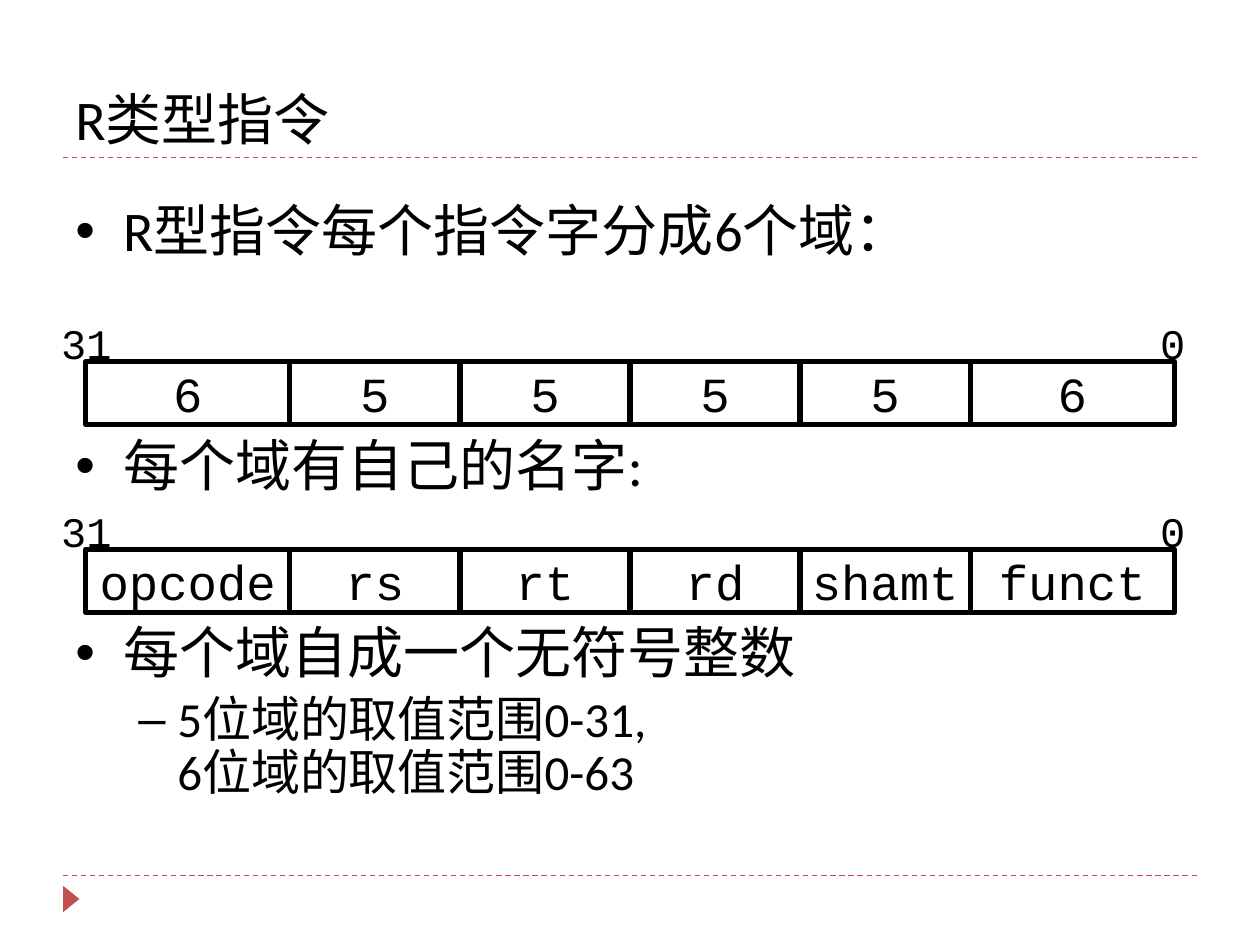
from pptx import Presentation
from pptx.dml.color import RGBColor
from pptx.enum.dml import MSO_LINE
from pptx.enum.shapes import MSO_CONNECTOR, MSO_SHAPE
from pptx.enum.text import MSO_ANCHOR, PP_ALIGN
from pptx.oxml.ns import qn
from pptx.util import Inches, Pt
from lxml.etree import SubElement

BLACK = "000000"
ACCENT = "C0504D"


def color(hex_text):
    return RGBColor.from_string(hex_text)


def style_paragraph(paragraph, size, name, align=PP_ALIGN.LEFT):
    paragraph.alignment = align
    for span in paragraph.runs:
        span.font.size = Pt(size)
        span.font.name = name
        span.font.color.rgb = color(BLACK)


deck = Presentation()
deck.slide_width = Inches(10)
deck.slide_height = Inches(7.5)
page = deck.slides.add_slide(deck.slide_layouts[6])

# Dashed rules and the footer marker
for y in (6.95, 1.25):
    rule = page.shapes.add_connector(
        MSO_CONNECTOR.STRAIGHT, Inches(0.5), Inches(y), Inches(9.5), Inches(y))
    rule.line.color.rgb = color(ACCENT)
    rule.line.width = Pt(0.75)
    rule.line.dash_style = MSO_LINE.DASH
    SubElement(rule._element.spPr, qn("a:effectLst"))

marker = page.shapes.add_shape(
    MSO_SHAPE.ISOSCELES_TRIANGLE, Inches(0.46), Inches(7.07), Inches(0.21), Inches(0.13))
marker.rotation = 90
marker.shadow.inherit = False
marker.fill.solid()
marker.fill.fore_color.rgb = color(ACCENT)
marker.line.fill.background()

# Title
title = page.shapes.add_textbox(Inches(0.5), Inches(0.17), Inches(9), Inches(1.08))
title.text_frame.word_wrap = True
title.text_frame.vertical_anchor = MSO_ANCHOR.BOTTOM
title.text_frame.text = "R类型指令"
style_paragraph(title.text_frame.paragraphs[0], 32, "Calibri")

# Bullets: text, level, size, space before (leaves room for the field rows)
bullets = [
    ("R型指令每个指令字分成6个域：", 0, 32, 0),
    ("每个域有自己的名字:", 0, 32, 100),
    ("每个域自成一个无符号整数", 0, 32, 72),
    ("5位域的取值范围0-31,\n6位域的取值范围0-63", 1, 28, 5.6),
]
bullet_styles = [("•", 0.38, 0.38), ("–", 0.81, 0.31)]

body = page.shapes.add_textbox(Inches(0.5), Inches(1.56), Inches(9), Inches(5.61))
frame = body.text_frame
frame.word_wrap = True
for index, (text, level, size, space) in enumerate(bullets):
    paragraph = frame.add_paragraph() if index else frame.paragraphs[0]
    paragraph.text = text
    paragraph.level = level
    paragraph.line_spacing = 0.9
    paragraph.space_before = Pt(space)
    symbol, margin, hanging = bullet_styles[level]
    properties = paragraph._p.get_or_add_pPr()
    properties.set("marL", str(Inches(margin)))
    properties.set("indent", str(-Inches(hanging)))
    SubElement(SubElement(properties, qn("a:buClr")), qn("a:srgbClr"), val=BLACK)
    SubElement(properties, qn("a:buFont"), typeface="Arial")
    SubElement(properties, qn("a:buChar"), char=symbol)
    style_paragraph(paragraph, size, "Calibri")

# Instruction words: each field is as wide as its bit count
field_bits = [6, 5, 5, 5, 5, 6]
bit_width = 0.27
field_rows = [
    (2.87, [str(bits) for bits in field_bits]),
    (4.36, ["opcode", "rs", "rt", "rd", "shamt", "funct"]),
]
bit_labels = [("31", 0.38, 0.61, PP_ALIGN.CENTER), ("0", 9.11, 0.4, PP_ALIGN.LEFT)]

for top, names in field_rows:
    word = page.shapes.add_group_shape()
    for text, left, width, align in bit_labels:
        label = word.shapes.add_textbox(
            Inches(left), Inches(top - 0.4), Inches(width), Inches(0.5))
        label.text_frame.word_wrap = True
        label.text_frame.text = text
        style_paragraph(label.text_frame.paragraphs[0], 24, "Courier New", align)

    left = 0.68
    for name, bits in zip(names, field_bits):
        width = bits * bit_width
        field = word.shapes.add_shape(
            MSO_SHAPE.RECTANGLE, Inches(left), Inches(top), Inches(width), Inches(0.5))
        field.shadow.inherit = False
        field.fill.background()
        field.line.color.rgb = color(BLACK)
        field.line.width = Pt(3)
        frame = field.text_frame
        frame.margin_left = frame.margin_right = 0
        frame.vertical_anchor = MSO_ANCHOR.MIDDLE
        frame.text = name
        style_paragraph(frame.paragraphs[0], 28, "Courier New", PP_ALIGN.CENTER)
        left += width

deck.save("out.pptx")
